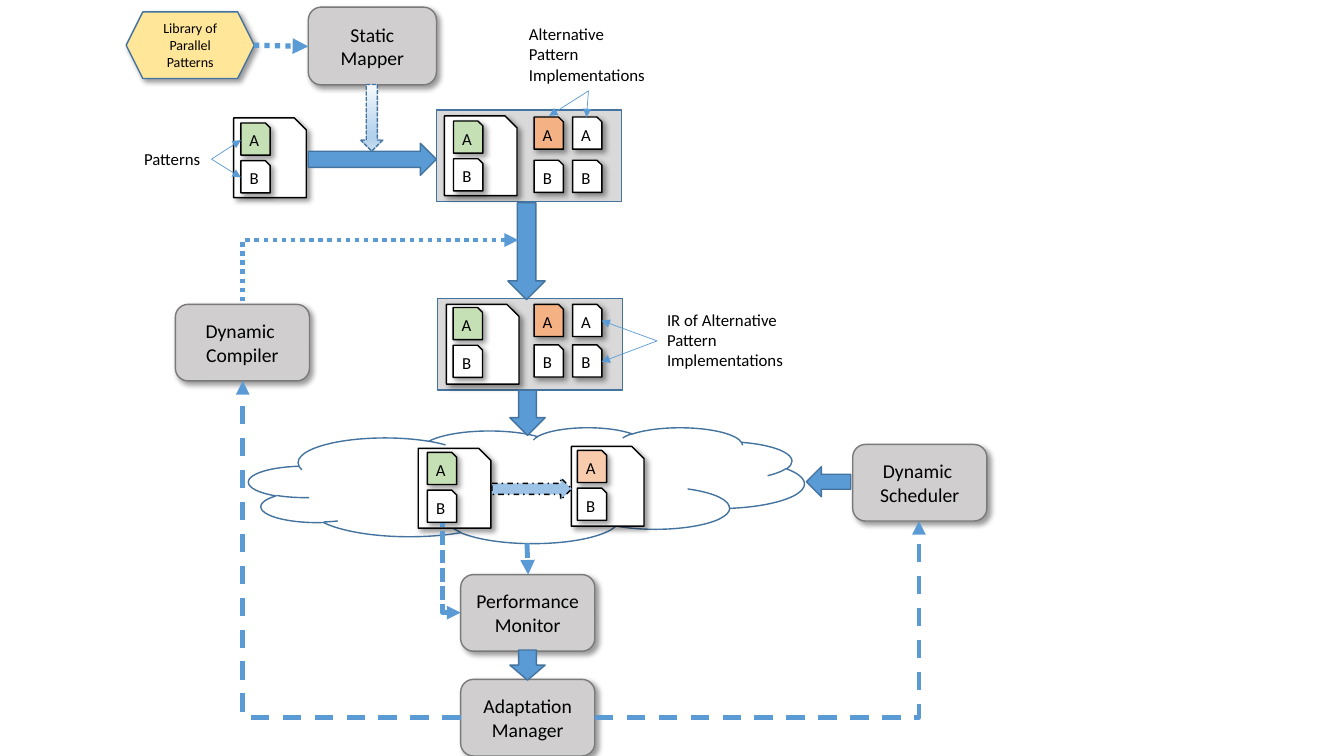
"""Build the slide showing the adaptive parallel pattern workflow."""
from pptx import Presentation
from pptx.dml.color import RGBColor
from pptx.enum.dml import MSO_LINE
from pptx.enum.shapes import MSO_CONNECTOR, MSO_SHAPE
from pptx.enum.text import MSO_ANCHOR, PP_ALIGN
from pptx.oxml.ns import qn
from pptx.util import Cm, Pt
from lxml import etree

RECT, ROUND, SNIP = MSO_SHAPE.RECTANGLE, MSO_SHAPE.ROUNDED_RECTANGLE, MSO_SHAPE.SNIP_1_RECTANGLE
HEXAGON, CLOUD = MSO_SHAPE.HEXAGON, MSO_SHAPE.CLOUD
RIGHT, DOWN, LEFT = MSO_SHAPE.RIGHT_ARROW, MSO_SHAPE.DOWN_ARROW, MSO_SHAPE.LEFT_ARROW
STRAIGHT, ELBOW = MSO_CONNECTOR.STRAIGHT, MSO_CONNECTOR.ELBOW
DOTS, SHORT, DASH, DASH_DOT = (MSO_LINE.ROUND_DOT, MSO_LINE.SQUARE_DOT,
                               MSO_LINE.DASH, MSO_LINE.DASH_DOT)

FONT = "Calibri"
COLORS = {
    "black": "000000", "white": "FFFFFF", "blue": "5B9BD5", "edge": "43739E",
    "light blue": "9DC3E6", "panel": "D9D9D9", "box": "D0CECE", "box edge": "7A7A7A",
    "yellow": "FFE699", "green": "C5E0B4", "orange": "F4B183", "peach": "F8CBAD",
}
FADE = [(0, "F7FAFD"), (74, "B5D2EC"), (83, "B5D2EC"), (100, "CEE1F2")]

DOC, TILE, PANEL = (1.83, 2.01), (0.74, 0.81), (4.67, 2.31)
BOX, MAPPER = (3.38, 1.93), (3.23, 1.96)

panels = [(11, 2.77), (11.02, 7.52)]
documents = [
    (5.89, 2.97, 0.18, 0.13, "green"),
    (11.2, 2.92, 0.23, 0.13, "green"),
    (11.25, 7.67, 0.17, 0.08, "green"),
    (10.54, 11.3, 0.23, 0.1, "green"),
    (14.4, 11.25, 0.15, 0.1, "peach"),
]
TILE_STEP = 0.95
alternative_cols = [13.46, 14.43]
alternative_rows = [(2.95, 4.04), (7.67, 8.69)]
boxes = [
    ("Static\nMapper", 7.77, 0.18, MAPPER),
    ("Performance\nMonitor", 11.61, 14.48, BOX),
    ("Adaptation\nManager", 11.61, 17.12, BOX),
    ("Dynamic \nScheduler", 21.49, 11.2, BOX),
    ("Dynamic \nCompiler", 4.42, 7.67, BOX),
]
block_arrows = [
    (RIGHT, 7.77, 3.61, 3.23, 0.81),
    (DOWN, 12.8, 5.11, 0.94, 2.44),
    (DOWN, 12.85, 9.83, 0.89, 1.14),
    (DOWN, 12.85, 16.38, 0.89, 0.76),
    (LEFT, 20.32, 11.76, 1.12, 0.76),
]
labels = [
    ("Alternative\nPattern\nImplementations", 13.08, 0.48, 3.48, 1.8),
    ("IR of Alternative\nPattern\nImplementations", 16.56, 7.67, 3.48, 1.8),
    ("Patterns", 3.38, 3.63, 1.96, 0.76),
]
pointers = [
    ((14.83, 2.29), [(14.78, 2.95), (13.84, 2.92)]),
    ((16.56, 8.59), [(15.16, 8.08), (15.16, 9.12)]),
    ((5.33, 4.01), [(6.07, 3.53), (6.07, 4.47)]),
]
flows = [
    (STRAIGHT, (6.4, 1.14), (7.77, 1.17), 3.75, DOTS, "tailEnd"),
    (STRAIGHT, (13.28, 13.69), (13.31, 14.48), 3.5, SHORT, "tailEnd"),
    (ELBOW, (11.61, 15.44), (11.15, 13.18), 3.25, SHORT, "headEnd"),
    (ELBOW, (13.06, 6.05), (6.12, 7.67), 3.25, DOTS, "headEnd"),
    (ELBOW, (11.61, 18.08), (6.12, 9.6), 3.25, DASH, "tailEnd"),
    (ELBOW, (14.99, 18.08), (23.16, 13.13), 3.25, DASH, "tailEnd"),
]


def rgb(name):
    return RGBColor.from_string(COLORS[name])


def add(parent, tag, **attrs):
    return etree.SubElement(parent, qn(tag), attrs)


def write(tf, text, size, align):
    tf.text = text
    for p in tf.paragraphs:
        p.alignment = align
        for r in p.runs:
            r.font.name, r.font.size = FONT, Pt(size)
            r.font.color.rgb = rgb("black")


def draw(kind, x, y, w, h, fill, line="edge", dash=None, shadow=False, text="", size=12):
    sp = slide.shapes.add_shape(kind, Cm(x), Cm(y), Cm(w), Cm(h))
    sp.fill.solid()
    sp.fill.fore_color.rgb = rgb(fill)
    sp.line.color.rgb, sp.line.width = rgb(line), Pt(1)
    if dash:
        sp.line.dash_style = dash
    sp.shadow.inherit = False
    if shadow:
        effects = sp._element.spPr.find(qn("a:effectLst"))
        outer = add(effects, "a:outerShdw", blurRad="50800", dist="38100",
                    dir="2700000", algn="tl", rotWithShape="0")
        add(add(outer, "a:srgbClr", val=COLORS["black"]), "a:alpha", val="40000")
    if text:
        tf = sp.text_frame
        tf.margin_left = tf.margin_right = tf.margin_top = tf.margin_bottom = 0
        tf.vertical_anchor = MSO_ANCHOR.MIDDLE
        write(tf, text, size, PP_ALIGN.CENTER)
    return sp


def tile(x, y, letter, fill):
    draw(SNIP, x, y, *TILE, fill, "black", shadow=True, text=letter)


def connect(kind, start, end, width, dash=None, arrow="tailEnd"):
    cn = slide.shapes.add_connector(kind, *map(Cm, start + end))
    cn.line.color.rgb, cn.line.width = rgb("blue"), Pt(width)
    if dash:
        cn.line.dash_style = dash
    spPr = cn._element.spPr
    if kind == ELBOW:
        spPr.find(qn("a:prstGeom")).set("prst", "bentConnector2")
    add(spPr.find(qn("a:ln")), "a:" + arrow, type="triangle")
    add(spPr, "a:effectLst")


prs = Presentation()
prs.slide_width, prs.slide_height = Cm(33.87), Cm(19.05)
slide = prs.slides.add_slide(prs.slide_layouts[6])

for x, y in panels:
    draw(RECT, x, y, *PANEL, "panel")
draw(CLOUD, 6.27, 10.77, 14, 2.92, "white")
draw(HEXAGON, 3.18, 0.3, 3.23, 1.68, "yellow", shadow=True,
     text="Library of\nParallel\nPatterns", size=10)
for text, x, y, size in boxes:
    draw(ROUND, x, y, *size, "box", "box edge", shadow=True, text=text, size=14)

for x, y, dx, dy, fill in documents:
    draw(SNIP, x, y, *DOC, "white", "black", shadow=True)
    tile(x + dx, y + dy, "A", fill)
    tile(x + dx, y + dy + TILE_STEP, "B", "white")
for top, bottom in alternative_rows:
    for x, fill in zip(alternative_cols, ("orange", "white")):
        tile(x, top, "A", fill)
        tile(x, bottom, "B", "white")

for arrow in block_arrows:
    draw(*arrow, "blue")
draw(RIGHT, 12.4, 12.04, 2.01, 0.56, "light blue", "black", DASH_DOT)
mapping = draw(DOWN, 9.09, 2.13, 0.56, 1.68, "white", dash=SHORT)
mapping.fill.gradient()
mapping.fill.gradient_angle = 270
stops = mapping._element.spPr.find(qn("a:gradFill")).find(qn("a:gsLst"))
for stop in list(stops):
    stops.remove(stop)
for pos, color in FADE:
    add(add(stops, "a:gs", pos=str(pos * 1000)), "a:srgbClr", val=color)

for text, x, y, w, h in labels:
    tf = slide.shapes.add_textbox(Cm(x), Cm(y), Cm(w), Cm(h)).text_frame
    tf.word_wrap = False
    write(tf, text, 12, PP_ALIGN.LEFT)
for start, ends in pointers:
    for end in ends:
        connect(STRAIGHT, start, end, 0.5)
for flow in flows:
    connect(*flow)

prs.save("out.pptx")
